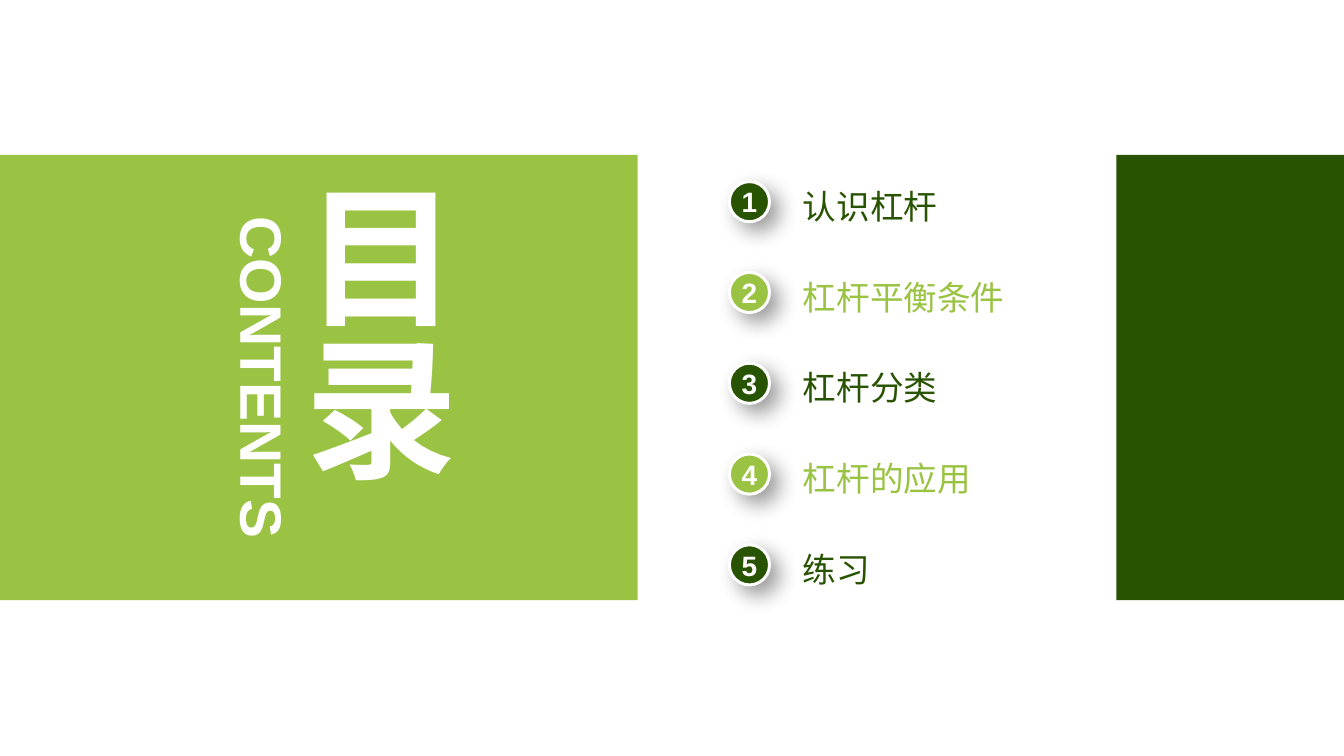
from lxml import etree
from pptx import Presentation
from pptx import util as u
from pptx.dml.color import RGBColor
from pptx.enum import shapes, text
from pptx.oxml import ns

LIME, DARK, WHITE = "9AC343", "285301", "FFFFFF"
TOPICS = ["认识杠杆", "杠杆平衡条件", "杠杆分类", "杠杆的应用", "练习"]
TOP, STEP = 1.9, 0.95


def paint(form, color):
    """Set a fill or font colour from a hex string."""
    form.rgb = RGBColor.from_string(color)


def write(shape, words, size, color, bold=True, align=text.PP_ALIGN.CENTER,
          anchor=text.MSO_ANCHOR.MIDDLE):
    """Put one run of text into a shape without margins."""
    frame = shape.text_frame
    frame.word_wrap = True
    frame.vertical_anchor = anchor
    frame.margin_left = frame.margin_right = 0
    frame.margin_top = frame.margin_bottom = 0
    para = frame.paragraphs[0]
    para.alignment = align
    run = para.add_run()
    run.text = words
    run.font.name = "Arial"
    run.font.size = u.Pt(size)
    run.font.bold = bold
    paint(run.font.color, color)


def add_form(slide, kind, box, color):
    """Add a filled preset shape without line or shadow."""
    shape = slide.shapes.add_shape(kind, *map(u.Inches, box))
    shape.shadow.inherit = False
    shape.fill.solid()
    paint(shape.fill.fore_color, color)
    shape.line.fill.background()
    return shape


def add_text(slide, box, *args, **style):
    """Add a text box that grows with its text."""
    label = slide.shapes.add_textbox(*map(u.Inches, box))
    write(label, *args, **style)
    label.text_frame.auto_size = text.MSO_AUTO_SIZE.SHAPE_TO_FIT_TEXT
    return label


def add_shadow(shape):
    """Add a soft shadow at the lower right."""
    effects = shape.element.spPr.find(ns.qn("a:effectLst"))
    cast = etree.SubElement(
        effects, ns.qn("a:outerShdw"), blurRad=str(u.Pt(16)),
        dist=str(u.Pt(9)), dir="2700000", algn="tl", rotWithShape="0")
    tint = etree.SubElement(cast, ns.qn("a:srgbClr"), val="000000")
    etree.SubElement(tint, ns.qn("a:alpha"), val="40000")


def add_topic(slide, order, words):
    """Add a numbered badge and its topic."""
    top = TOP + STEP * (order - 1)
    color = DARK if order % 2 else LIME
    badge = add_form(slide, shapes.MSO_SHAPE.OVAL,
                     (7.63, top, 0.42, 0.42), color)
    paint_line = badge.line
    paint_line.fill.solid()
    paint(paint_line.color, WHITE)
    paint_line.width = u.Pt(2.25)
    add_shadow(badge)
    write(badge, str(order), 21.1, WHITE)
    add_text(slide, (8.4, top + 0.04, 2.7, 0.43), words, 25.3, color,
             bold=False, align=text.PP_ALIGN.LEFT)


def add_title(slide):
    """Add the two upright titles on the lime panel."""
    title = add_text(slide, (2.97, 1.88, 1.94, 4.15), "目录", 115, WHITE)
    title.text_frame._txBody.bodyPr.set("vert", "eaVert")
    sub = add_text(slide, (0.95, 3.58, 3.61, 0.74), "CONTENTS", 44, WHITE,
                   anchor=text.MSO_ANCHOR.TOP)
    sub.rotation = 90


def main():
    """Build the contents slide."""
    deck = Presentation()
    deck.slide_width, deck.slide_height = u.Inches(14.06), u.Inches(7.91)
    slide = deck.slides.add_slide(deck.slide_layouts[6])
    for left, width, color in ((0, 6.67, LIME), (11.68, 2.38, DARK)):
        add_form(slide, shapes.MSO_SHAPE.RECTANGLE,
                 (left, 1.62, width, 4.66), color)
    add_title(slide)
    for order, words in enumerate(TOPICS, 1):
        add_topic(slide, order, words)
    deck.save("out.pptx")


if __name__ == "__main__":
    main()
